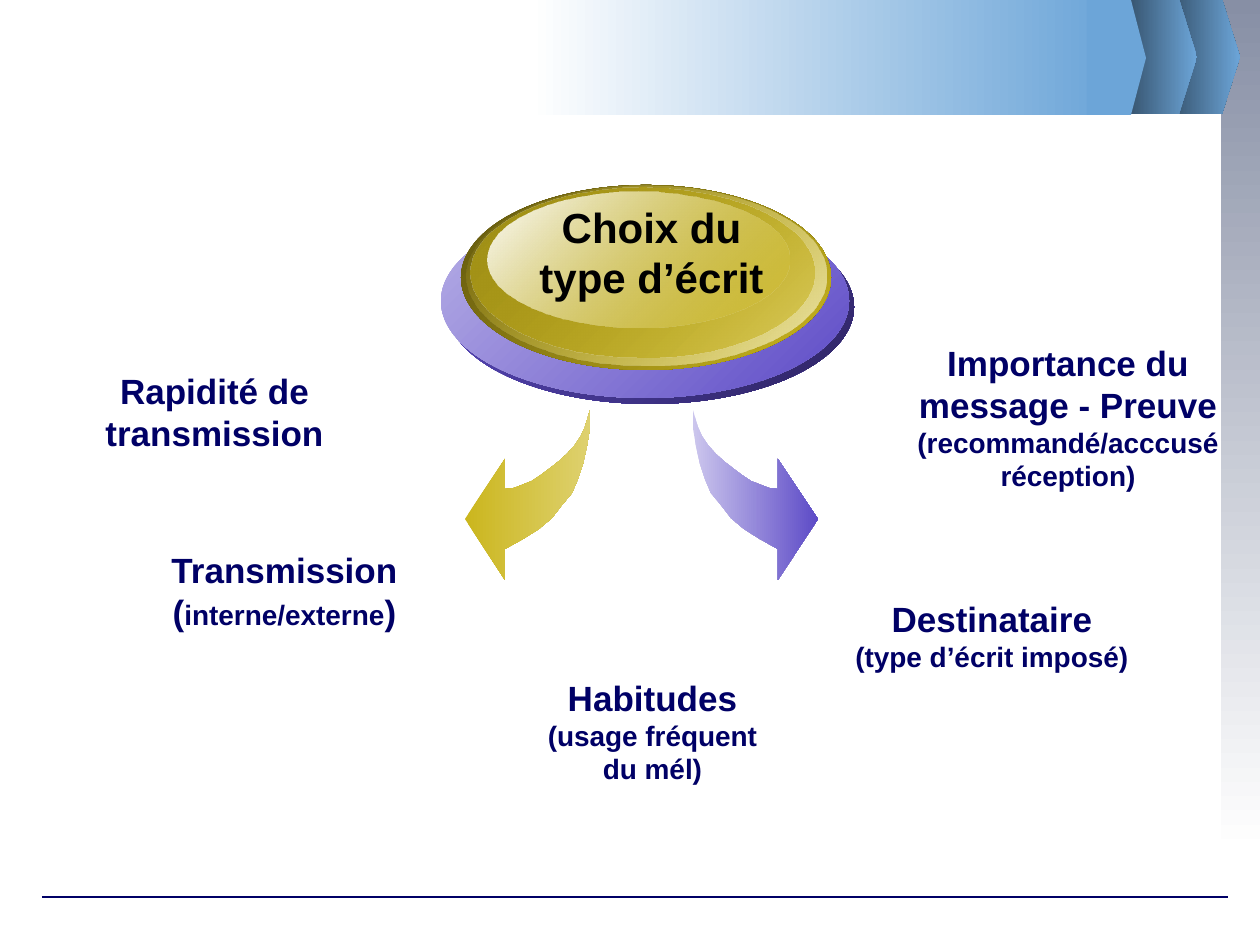
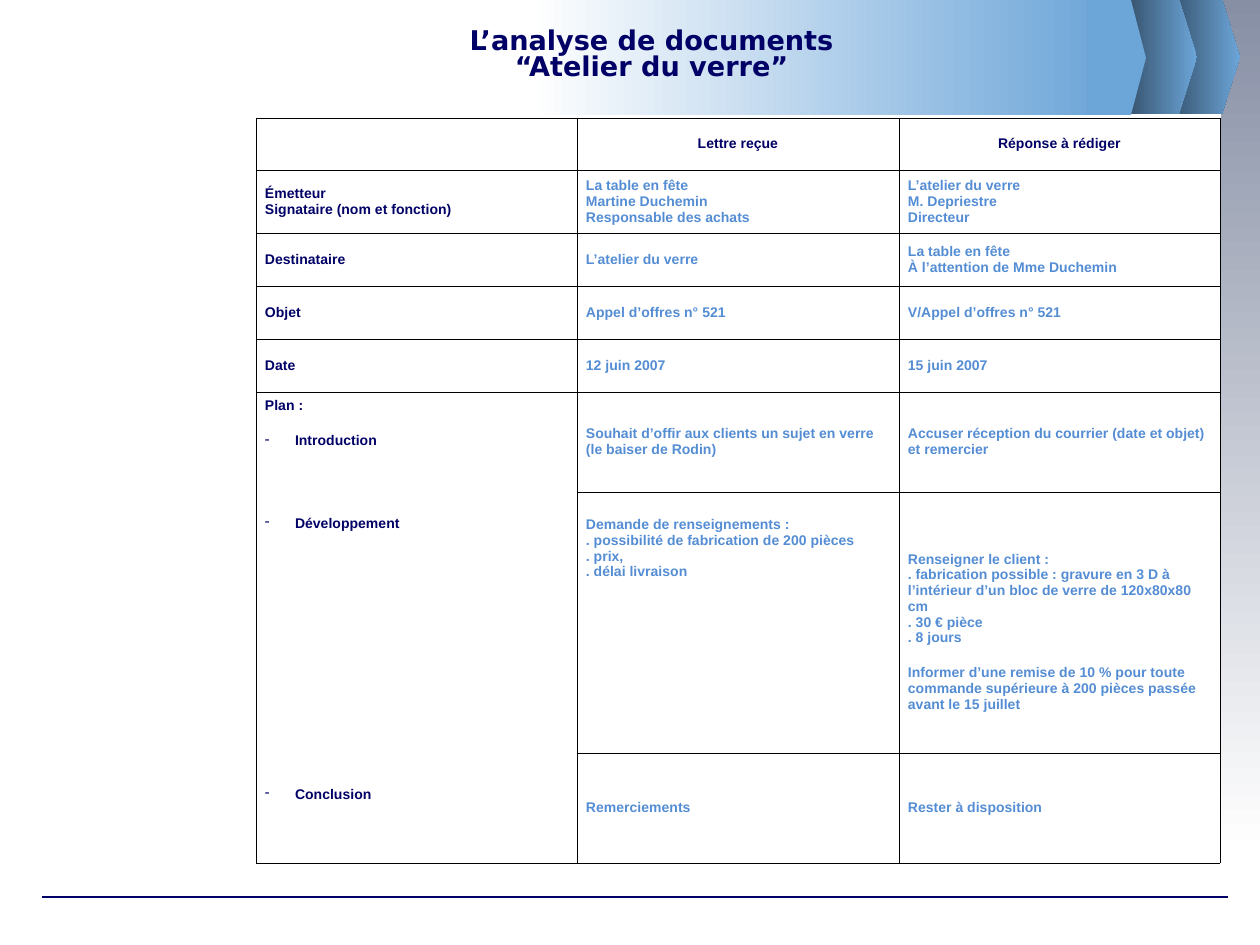
import pptx
import pptx.util
import pptx.dml.color
import pptx.enum.shapes
import pptx.enum.text
import pptx.oxml.ns
import lxml.etree

PX = 914400 / 126
C = {"navy": "000066", "blue": "548DD4", "sky": "6CA5D8", "steel": "324C64",
     "slate": "878FA5", "white": "FFFFFF", "black": "000000",
     "gold": "CBB61D", "gold_light": "DED16F", "gold_pale": "EDE6B0",
     "gold_mid": "A19017", "gold_dark": "5E540D", "violet": "5D4BC7",
     "violet_light": "B7AFE6", "violet_pale": "CCC6ED", "violet_dark": "2D2461"}
SHAPE = pptx.enum.shapes.MSO_SHAPE
ALIGN = pptx.enum.text.PP_ALIGN
ANCHOR = pptx.enum.text.MSO_ANCHOR
RGB = pptx.dml.color.RGBColor.from_string
qn = pptx.oxml.ns.qn


def write(tf, paras, size=20, color="navy", font="Arial", align=ALIGN.CENTER,
          spacing=None, before=None, anchor=None):
    """Each paragraph is a string or a list of (text, size) runs."""
    tf.word_wrap = True
    if anchor is not None:
        tf.vertical_anchor = anchor
    for i, para in enumerate(paras):
        p = tf.paragraphs[0] if i == 0 else tf.add_paragraph()
        p.alignment = align
        if spacing:
            p.line_spacing = spacing
        if before and before[i]:
            p.space_before = pptx.util.Pt(before[i])
        for text, pt in [(para, size)] if isinstance(para, str) else para:
            r = p.add_run()
            r.text = text
            r.font.name = font
            r.font.size = pptx.util.Pt(pt)
            r.font.bold = True
            r.font.color.rgb = RGB(C[color])


def paint(sp, start, end=None, angle=0, alphas=(100, 100)):
    """Fill with one colour, or with a gradient at a clockwise angle."""
    sp.shadow.inherit = False
    sp.line.fill.background()
    if end is None:
        sp.fill.solid()
        sp.fill.fore_color.rgb = RGB(C[start])
        return
    sp.fill.gradient()
    sp.fill.gradient_angle = (360 - angle) % 360
    for stop, name in zip(sp.fill.gradient_stops, (start, end)):
        stop.color.rgb = RGB(C[name])
    for clr, alpha in zip(sp.element.iter(qn("a:srgbClr")), alphas):
        if alpha < 100:
            lxml.etree.SubElement(clr, qn("a:alpha")).set("val", str(alpha * 1000))


prs = pptx.Presentation()
prs.slide_width, prs.slide_height = round(1260 * PX), round(945 * PX)

# Slide 1: choosing the type of document
s = prs.slides.add_slide(prs.slide_layouts[6])

# Shared decoration: side strip, footer rule, chevrons and top band
decoration = []
sp = s.shapes.add_shape(SHAPE.RECTANGLE, *[round(v * PX) for v in (1221, 0, 39, 853)])
paint(sp, "slate", "white", 90)
decoration.append(sp)

rule = s.shapes.add_connector(pptx.enum.shapes.MSO_CONNECTOR.STRAIGHT,
                              *[round(v * PX) for v in (42, 897, 1228, 897)])
rule.line.color.rgb = RGB(C["navy"])
rule.line.width = pptx.util.Pt(0.75)
lxml.etree.SubElement(rule.element.spPr, qn("a:effectLst"))
decoration.append(rule)

sp = s.shapes.add_shape(SHAPE.RECTANGLE, *[round(v * PX) for v in (530, 0, 580, 115)])
paint(sp, "white", "sky")
band = sp

for left, shoulder, tip, top, colors in [(1165, 1222, 1240, -1, ("steel", "sky")),
                                         (1122, 1179, 1197, -1, ("steel", "sky")),
                                         (1087, 1131, 1146, 0, ("sky",))]:
    bottom = top + 115
    fb = s.shapes.build_freeform(left, top, scale=PX)
    fb.add_line_segments([(shoulder, top), (tip, top + 58), (shoulder, bottom), (left, bottom)])
    sp = fb.convert_to_shape()
    paint(sp, *colors)
    decoration.append(sp)
decoration.insert(-1, band)

# The decoration belongs to the master, so every slide shows it
for i, sp in enumerate(decoration):
    sp.element.xpath(".//p:cNvPr")[0].set("id", str(100 + i))
    prs.slide_master.shapes.element.append(sp.element)

# Arrows: the right one mirrors the left one
arrow = [(590, 410), (590, 428), (587, 446), (583, 464), (578, 479), (572, 493),
         (562, 505), (552, 518), (539, 529), (523, 539), (505, 549), (505, 580),
         (465, 519), (505, 459), (505, 489), (514, 488), (522, 485), (532, 481),
         (541, 475), (549, 469), (558, 462), (567, 454), (575, 445), (581, 436),
         (585, 427), (588, 417)]
mirrored = [(1283 - x, y) for x, y in arrow]
for points, colors in [(arrow, ("gold", "gold_light")),
                       (mirrored, ("violet_pale", "violet"))]:
    fb = s.shapes.build_freeform(*points[0], scale=PX)
    fb.add_line_segments(points[1:])
    paint(fb.convert_to_shape(), *colors)

# Central button
for box, start, end, alphas in [
        ((446, 210, 408, 194), "violet", "violet_dark", (100, 100)),
        ((441, 204, 408, 194), "violet_light", "violet", (100, 100)),
        ((461, 185, 370, 185), "gold_dark", "gold", (100, 100)),
        ((466, 186, 360, 180), "gold", "gold_pale", (0, 100)),
        ((470, 188, 344, 169), "gold_mid", "gold", (100, 48)),
        ((488, 192, 302, 136), "white", "gold", (100, 38))]:
    sp = s.shapes.add_shape(SHAPE.OVAL, *[round(v * PX) for v in box])
    paint(sp, start, end, 45, alphas)

# Button text and criteria
for box, paras, fmt in [
        ((503, 195, 297, 113), ["Choix du type d’écrit"], {"size": 24, "color": "black"}),
        ((74, 363, 281, 97), ["Rapidité de transmission"], {}),
        ((134, 542, 301, 97),
         [[("Transmission (", 20), ("interne/externe", 16), (")", 20)]], {}),
        ((512, 670, 281, 122),
         ["Habitudes", [("(usage fréquent", 16)], [("du mél)", 16)]], {}),
        ((828, 591, 328, 88), ["Destinataire", [("(type d’écrit imposé)", 16)]], {}),
        ((876, 335, 384, 164),
         [[("Importance du message - Preuve ", 20),
           ("(recommandé/acccusé réception)", 16)]], {})]:
    tb = s.shapes.add_textbox(*[round(v * PX) for v in box])
    write(tb.text_frame, paras, **fmt)

# Slide 2: analysis table
s = prs.slides.add_slide(prs.slide_layouts[5])
title = s.shapes.title
title.left, title.top, title.width, title.height = [round(v * PX) for v in (158, 15, 987, 82)]
title.text_frame.auto_size = pptx.enum.text.MSO_AUTO_SIZE.NONE
write(title.text_frame, ["L’analyse de documents", "“Atelier du verre”"],
      size=15.5, font="DejaVu Sans", spacing=0.8, anchor=ANCHOR.MIDDLE)

rows = [
    [[], ["Lettre reçue"], ["Réponse à rédiger"]],
    [["Émetteur", "Signataire (nom et fonction)"],
     ["La table en fête", "Martine Duchemin", "Responsable des achats"],
     ["L’atelier du verre", "M. Depriestre", "Directeur"]],
    [["Destinataire"], ["L’atelier du verre"],
     ["La table en fête", "À l’attention de Mme Duchemin"]],
    [["Objet"], ["Appel d’offres n° 521"], ["V/Appel d’offres n° 521"]],
    [["Date"], ["12 juin 2007"], ["15 juin 2007"]],
    [["Plan :", "Introduction", "Développement", "Conclusion"],
     ["Souhait d’offir aux clients un sujet en verre (le baiser de Rodin)"],
     ["Accuser réception du courrier (date et objet) et remercier"]],
    [[],
     ["Demande de renseignements :", ". possibilité de fabrication de 200 pièces",
      ". prix,", ". délai livraison"],
     ["Renseigner le client :",
      ". fabrication possible : gravure en 3 D à l’intérieur d’un bloc de verre "
      "de 120x80x80 cm",
      ". 30 € pièce", ". 8 jours",
      "Informer d’une remise de 10 % pour toute commande supérieure à 200 pièces "
      "passée avant le 15 juillet"]],
    [[], ["Remerciements"], ["Rester à disposition"]],
]
heights = [52, 63, 53, 53, 53, 100, 261, 110]
widths = [321, 322, 321]
gaps = {(5, 0): [0, 11, 38, 146], (6, 2): [0, 0, 0, 0, 11]}
top_margins = {(6, 1): 25, (6, 2): 25}
top_anchored = [(5, 0), (6, 1)]

frame = s.shapes.add_table(len(rows), len(widths),
                           *[round(v * PX) for v in (256, 118, sum(widths), sum(heights))])
table = frame.table
table.first_row = table.horz_banding = False
for col, width in zip(table.columns, widths):
    col.width = round(width * PX)
for row, height in zip(table.rows, heights):
    row.height = round(height * PX)
table.cell(5, 0).merge(table.cell(7, 0))

for i, row in enumerate(rows):
    for j, paras in enumerate(row):
        cell = table.cell(i, j)
        cell.fill.background()
        cell.margin_left = cell.margin_right = round(9 * PX)
        cell.margin_top = round(top_margins.get((i, j), 6) * PX)
        cell.margin_bottom = round(6 * PX)
        cell.vertical_anchor = ANCHOR.TOP if (i, j) in top_anchored else ANCHOR.MIDDLE
        write(cell.text_frame, paras, size=8, before=gaps.get((i, j)),
              color="navy" if i == 0 or j == 0 else "blue",
              align=ALIGN.CENTER if i == 0 else ALIGN.LEFT)
        # Thin black borders come before the fill
        tcPr = cell._tc.get_or_add_tcPr()
        for k, side in enumerate(("lnL", "lnR", "lnT", "lnB")):
            ln = lxml.etree.Element(qn("a:" + side), w=str(pptx.util.Pt(0.45)))
            fill = lxml.etree.SubElement(ln, qn("a:solidFill"))
            lxml.etree.SubElement(fill, qn("a:srgbClr"), val=C["black"])
            tcPr.insert(k, ln)

# Dashes for the parts of the plan
for p in table.cell(5, 0).text_frame.paragraphs[1:]:
    pPr = p._p.get_or_add_pPr()
    pPr.set("marL", str(round(30 * PX)))
    pPr.set("indent", str(round(-30 * PX)))
    clr = lxml.etree.SubElement(pPr, qn("a:buClr"))
    lxml.etree.SubElement(clr, qn("a:srgbClr"), val=C["navy"])
    lxml.etree.SubElement(pPr, qn("a:buChar"), char="-")

prs.save("out.pptx")
